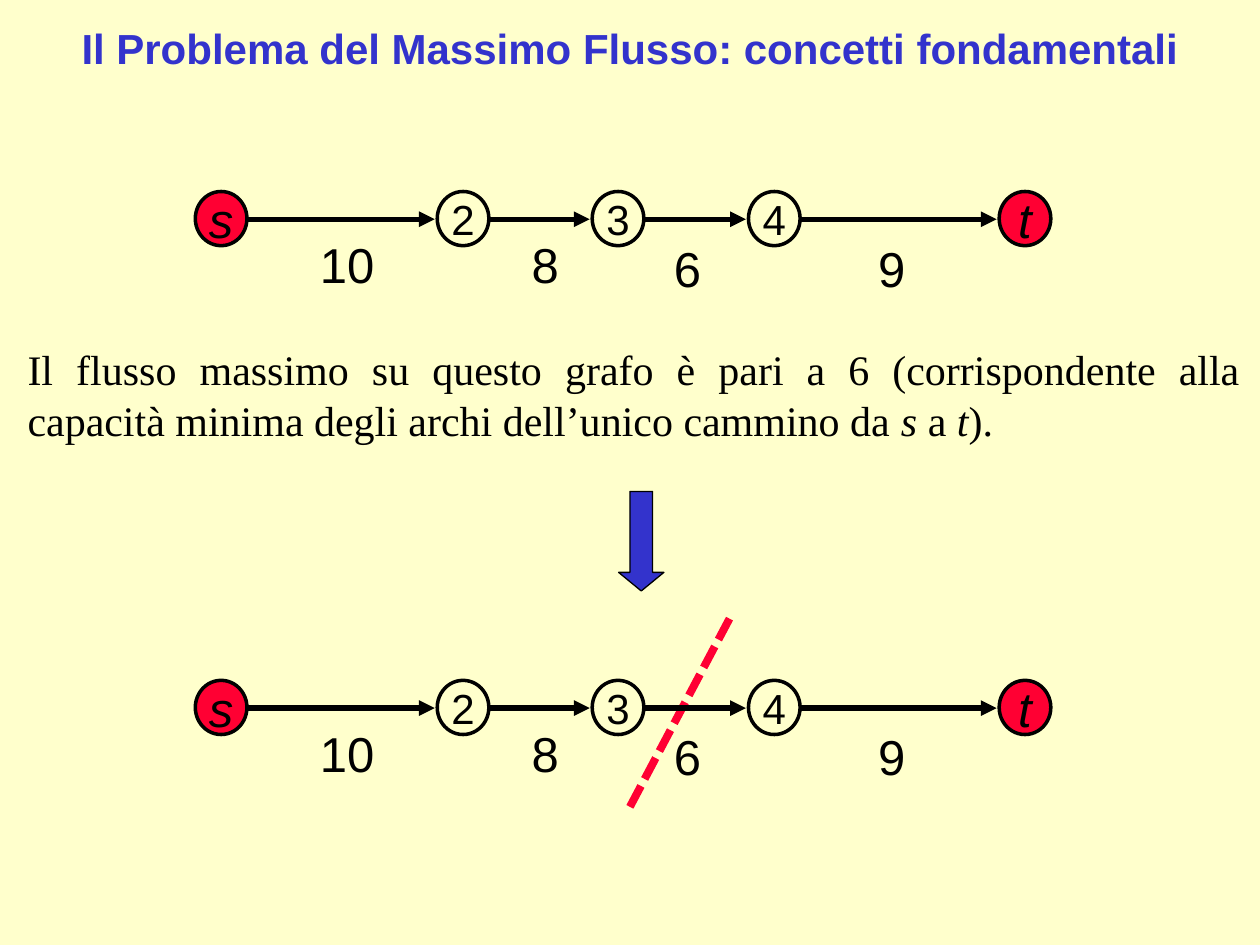
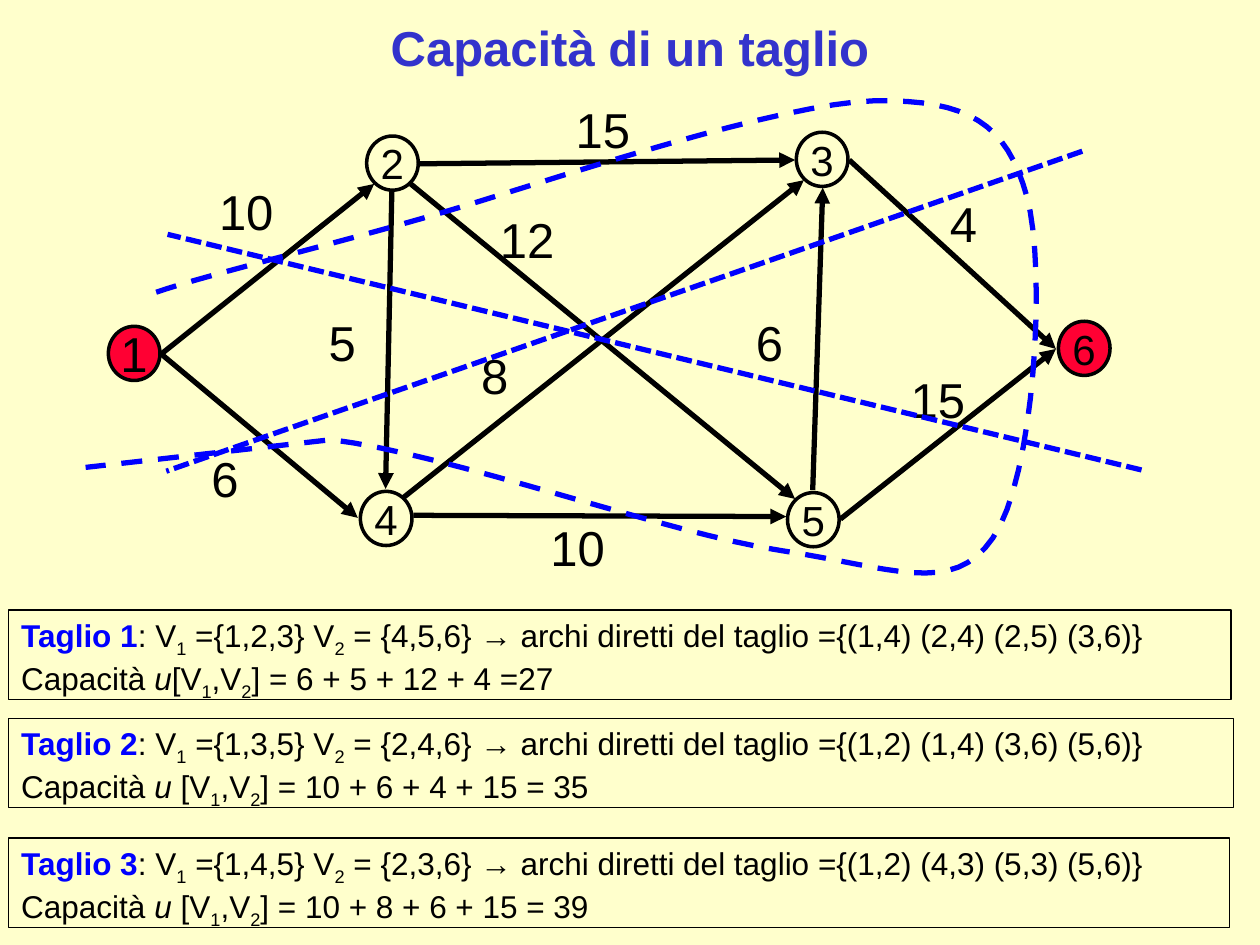
from pptx import Presentation
from pptx.dml.color import RGBColor
from pptx.enum.dml import MSO_LINE
from pptx.enum.shapes import MSO_CONNECTOR, MSO_SHAPE
from pptx.enum.text import MSO_ANCHOR, MSO_AUTO_SIZE, PP_ALIGN
from pptx.oxml.ns import qn
from pptx.oxml.xmlchemy import OxmlElement
from pptx.util import Inches, Pt

CREAM = RGBColor(0xFF, 0xFF, 0xCC)
INDIGO = RGBColor(0x33, 0x33, 0xCC)
BLUE = RGBColor(0x00, 0x00, 0xFF)
RED = RGBColor(0xFF, 0x00, 0x33)
BLACK = RGBColor(0x00, 0x00, 0x00)

SANS, SERIF = "Arial", "Times New Roman"
SHORT_DASH, LONG_DASH = MSO_LINE.SQUARE_DOT, MSO_LINE.DASH
MIDDLE, TOP = MSO_ANCHOR.MIDDLE, MSO_ANCHOR.TOP
CENTER, LEFT, JUSTIFY = PP_ALIGN.CENTER, PP_ALIGN.LEFT, PP_ALIGN.JUSTIFY
TITLE_ONLY = 5
NODE_W, NODE_H = 0.41, 0.43

# Path network: node name and left edge, then arc capacity, left edge and drop
PATH_NODES = [("s", 1.55), ("2", 3.47), ("3", 4.7), ("4", 5.94), ("t", 7.93)]
PATH_LABELS = [("10", 2.44, 0.29), ("8", 4.12, 0.29), ("6", 5.25, 0.32), ("9", 6.87, 0.32)]

# Cut network
CUT_NODES = {"1": (0.86, 2.59), "2": (2.91, 1.08), "3": (6.32, 1.05),
             "4": (2.86, 3.9), "5": (6.25, 3.91), "6": (8.4, 2.55)}
CUT_ARCS = [
    ((1.28, 2.81), (2.97, 1.46)), ((1.28, 2.81), (2.84, 4.11)),
    ((3.33, 1.3), (6.31, 1.27)), ((3.28, 4.09), (6.24, 4.1)),
    ((6.67, 4.12), (8.38, 2.77)), ((6.74, 1.27), (8.38, 2.77)),
    ((3.26, 1.46), (6.31, 3.96)), ((3.2, 3.95), (6.38, 1.43)),
    ((3.11, 1.52), (3.06, 3.88)), ((6.45, 3.89), (6.53, 1.49)),
]
CUT_LABELS = [
    ("10", 1.64, 1.39), ("15", 4.47, 0.74), ("4", 7.44, 1.49), ("15", 7.13, 2.88),
    ("6", 5.9, 2.43), ("8", 3.72, 2.69), ("12", 3.87, 1.61), ("5", 2.51, 2.43),
    ("6", 1.58, 3.51), ("10", 4.27, 4.06),
]
CUT_LINES = [((8.59, 1.2), (1.32, 3.74)), ((9.06, 3.73), (1.33, 1.86))]
CURVE_START, CURVE_END = (1.24, 2.32), (0.68, 3.71)
CURVE_PIECES = [
    ((1.64, 2.18), (2.85, 1.89), (3.67, 1.64)),
    ((4.49, 1.39), (6.2, 0.82), (6.94, 0.8)),
    ((7.69, 0.79), (7.99, 0.98), (8.15, 1.56)),
    ((8.31, 2.14), (8.21, 3.8), (7.88, 4.27)),
    ((7.56, 4.74), (7.07, 4.5), (6.2, 4.37)),
    ((5.32, 4.24), (3.55, 3.6), (2.63, 3.49)),
]
# Cut boxes: top, width, name, V1, V2, arcs, symbol, capacity
CUT_BOXES = [
    (4.84, 9.7, "Taglio 1", "1,2,3", "4,5,6", "(1,4) (2,4) (2,5) (3,6)", "u",
     "= 6 + 5 + 12 + 4 =27"),
    (5.7, 9.72, "Taglio 2", "1,3,5", "2,4,6", "(1,2) (1,4) (3,6) (5,6)", "u ",
     "= 10 + 6 + 4 + 15 = 35"),
    (6.65, 9.69, "Taglio 3", "1,4,5", "2,3,6", "(1,2) (4,3) (5,3) (5,6)", "u ",
     "= 10 + 8 + 6 + 15 = 39"),
]


def add_span(para, text, size, color=BLACK, font=SANS, bold=False, italic=False, sub=False):
    span = para.add_run()
    span.text = text
    span.font.size, span.font.name = Pt(size), font
    span.font.bold, span.font.italic = bold, italic
    span.font.color.rgb = color
    if sub:
        span.font._element.set("baseline", "-25000")


def prepare_frame(shape, anchor=TOP, wrap=True, align=LEFT):
    frame = shape.text_frame
    frame.word_wrap, frame.auto_size = wrap, MSO_AUTO_SIZE.NONE
    frame.vertical_anchor = anchor
    frame.paragraphs[0].alignment = align
    return frame


def add_page(deck, title, size):
    page = deck.slides.add_slide(deck.slide_layouts[TITLE_ONLY])
    page.background.fill.solid()
    page.background.fill.fore_color.rgb = CREAM
    box = page.shapes.title
    box.left, box.top = Inches(0.06), Inches(0.03)
    box.width, box.height = Inches(9.88), Inches(0.69)
    frame = prepare_frame(box, MIDDLE, align=CENTER)
    frame.margin_left = frame.margin_right = Inches(0.04)
    frame.margin_top = frame.margin_bottom = Inches(0.04)
    add_span(frame.paragraphs[0], title, size, INDIGO, bold=True)
    return page


def add_outlined(page, kind, left, top, width, height, weight, fill=None):
    shape = page.shapes.add_shape(kind, Inches(left), Inches(top), Inches(width), Inches(height))
    shape.shadow.inherit = False
    if fill is None:
        shape.fill.background()
    else:
        shape.fill.solid()
        shape.fill.fore_color.rgb = fill
    shape.line.color.rgb, shape.line.width = BLACK, Pt(weight)
    return shape


def add_node(page, name, left, top, size=24, fill=None):
    node = add_outlined(page, MSO_SHAPE.OVAL, left, top, NODE_W, NODE_H, 2, fill)
    frame = prepare_frame(node, MIDDLE, wrap=False, align=CENTER)
    add_span(frame.paragraphs[0], name, size, italic=name.isalpha())


def add_line(page, start, end, color=BLACK, weight=3, dash=None, arrow=False):
    line = page.shapes.add_connector(
        MSO_CONNECTOR.STRAIGHT, *(Inches(value) for value in (*start, *end)))
    line.line.color.rgb, line.line.width = color, Pt(weight)
    if dash is not None:
        line.line.dash_style = dash
    properties = line._element.spPr
    if arrow:
        head = OxmlElement("a:tailEnd")
        head.set("type", "triangle")
        properties.find(qn("a:ln")).append(head)
    properties.append(OxmlElement("a:effectLst"))


def add_capacity(page, value, left, top):
    width = 0.2 + 0.22 * len(value)
    box = page.shapes.add_textbox(Inches(left), Inches(top), Inches(width), Inches(0.57))
    add_span(prepare_frame(box, wrap=False).paragraphs[0], value, 28)


def add_path_network(page, top):
    for name, left in PATH_NODES:
        is_end = name in "st"
        add_node(page, name, left, top, 28 if is_end else 24, RED if is_end else None)
    middle = top + 0.22
    for (_, left), (_, following) in zip(PATH_NODES, PATH_NODES[1:]):
        add_line(page, (left + NODE_W + 0.01, middle), (following - 0.02, middle), arrow=True)
    for value, left, drop in PATH_LABELS:
        add_capacity(page, value, left, top + drop)


def add_cut_curve(page, steps=16):
    points, start = [], CURVE_START
    for piece in CURVE_PIECES:
        for step in range(1, steps + 1):
            t = step / steps
            weights = ((1 - t) ** 3, 3 * t * (1 - t) ** 2, 3 * t * t * (1 - t), t ** 3)
            points.append([sum(w * p[axis] for w, p in zip(weights, (start, *piece)))
                           for axis in (0, 1)])
        start = piece[-1]
    points.append(CURVE_END)
    builder = page.shapes.build_freeform(*(Inches(value) for value in CURVE_START))
    builder.add_line_segments([(Inches(x), Inches(y)) for x, y in points], close=False)
    curve = builder.convert_to_shape()
    curve.shadow.inherit = False
    curve.fill.background()
    curve.line.color.rgb, curve.line.width = BLUE, Pt(3)
    curve.line.dash_style = LONG_DASH


def add_cut_box(page, top, width, name, first, second, arcs, symbol, capacity):
    box = add_outlined(page, MSO_SHAPE.RECTANGLE, 0.07, top, width, 0.71, 0.75)
    frame = prepare_frame(box)
    para = frame.paragraphs[0]
    add_span(para, name, 18, BLUE, bold=True)
    add_span(para, ": V", 18)
    add_span(para, "1", 18, sub=True)
    add_span(para, f" ={{{first}}} V", 18)
    add_span(para, "2", 18, sub=True)
    add_span(para, f" = {{{second}}} → archi diretti del taglio ={{{arcs}}}", 18)
    para = frame.add_paragraph()
    para.alignment = LEFT
    add_span(para, "Capacità ", 18)
    add_span(para, symbol, 18, italic=True)
    add_span(para, "[V", 18)
    add_span(para, "1", 18, sub=True)
    add_span(para, ",V", 18)
    add_span(para, "2", 18, sub=True)
    add_span(para, f"] {capacity}", 18)


def build_flow_page(deck):
    page = add_page(deck, "Il Problema del Massimo Flusso: concetti fondamentali", 24)
    add_path_network(page, 1.52)

    # Explanation
    box = page.shapes.add_textbox(Inches(0.12), Inches(2.68), Inches(9.82), Inches(0.91))
    para = prepare_frame(box, align=JUSTIFY).paragraphs[0]
    for text, italic in [
        ("Il flusso massimo su questo grafo è pari a 6 (corrispondente alla capacità "
         "minima degli archi dell’unico cammino da ", False),
        ("s", True), (" a ", False), ("t", True), (").", False),
    ]:
        add_span(para, text, 24, font=SERIF, italic=italic)

    # Arrow to the same network with its minimum cut
    arrow = add_outlined(page, MSO_SHAPE.DOWN_ARROW, 4.91, 3.9, 0.36, 0.79, 0.75, INDIGO)
    arrow.adjustments[0], arrow.adjustments[1] = 0.5, 0.41
    add_line(page, (5.79, 4.91), (4.98, 6.44), RED, 4.5, SHORT_DASH)
    add_path_network(page, 5.4)


def build_cut_page(deck):
    page = add_page(deck, "Capacità di un taglio", 28)

    # Network
    for name, (left, top) in CUT_NODES.items():
        add_node(page, name, left, top, 28 if name == "1" else 24,
                 RED if name in "16" else None)
    for start, end in CUT_ARCS:
        add_line(page, start, end, arrow=True)
    for value, left, top in CUT_LABELS:
        add_capacity(page, value, left, top)

    # Cuts and their capacities
    for start, end in CUT_LINES:
        add_line(page, start, end, BLUE, dash=SHORT_DASH)
    add_cut_curve(page)
    for cut in CUT_BOXES:
        add_cut_box(page, *cut)


def main():
    deck = Presentation()
    deck.slide_width, deck.slide_height = Inches(10), Inches(7.5)
    build_flow_page(deck)
    build_cut_page(deck)
    deck.save("out.pptx")


if __name__ == "__main__":
    main()
